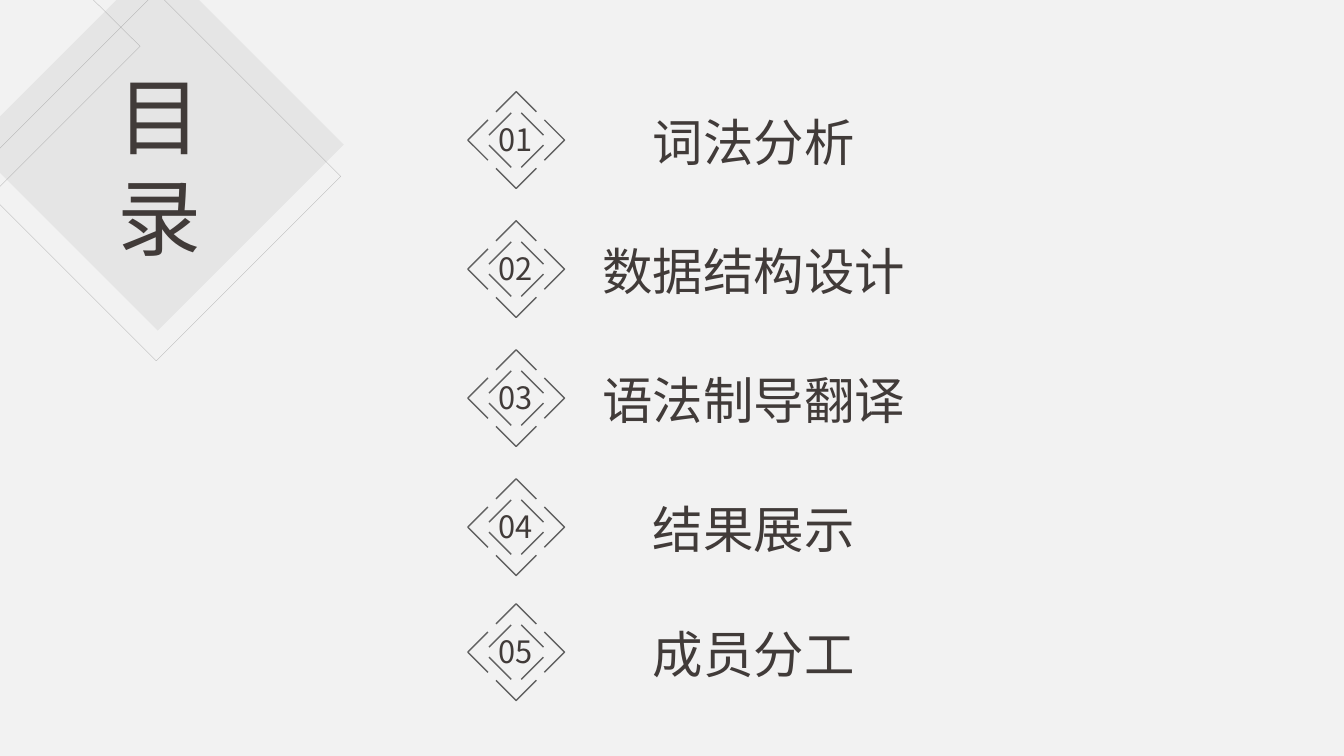
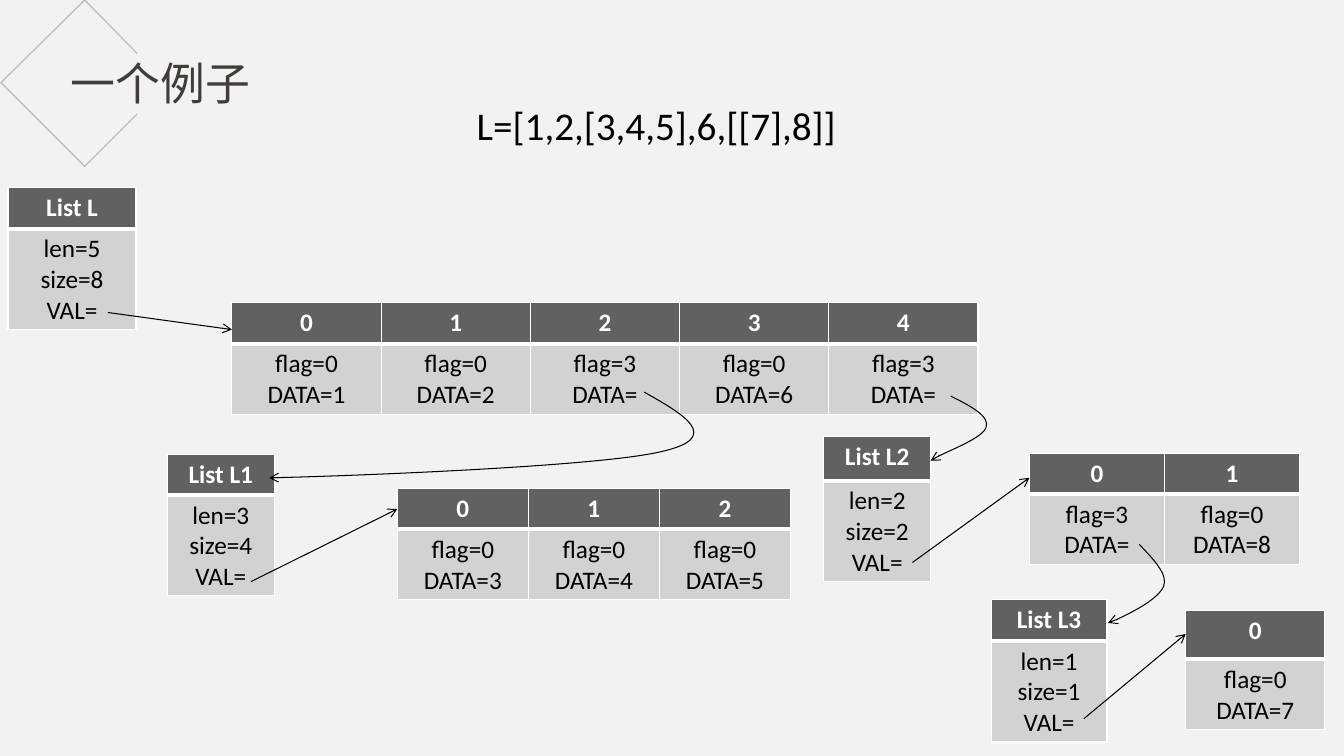
from dataclasses import dataclass
from typing import Any

import lxml.etree
import pptx
import pptx.dml.color
import pptx.enum.shapes
import pptx.enum.text
import pptx.oxml.ns
import pptx.util

Inches = pptx.util.Inches
qn = pptx.oxml.ns.qn
Point = tuple[float, float]

HAN = "Noto Sans CJK SC"
LATIN = "Calibri"
INK, DARK, PALE, GRAY = "413B39", "616161", "D2D2D2", "808080"
BLACK, WHITE, PAPER = "000000", "FFFFFF", "F2F2F2"


@dataclass
class Topic:
    text: str
    mid: float


@dataclass
class Grid:
    left: float
    top: float
    width: float
    head: float
    heads: list[str]
    cells: list[list[str]]


TOPICS = [
    Topic("词法分析", 1.39),
    Topic("数据结构设计", 2.67),
    Topic("语法制导翻译", 3.95),
    Topic("结果展示", 5.23),
    Topic("成员分工", 6.47),
]


def array(left: float, top: float, width: float, head: float, data: list[tuple[int, str]]) -> Grid:
    heads = [str(i) for i in range(len(data))]
    return Grid(left, top, width, head, heads, [[f"flag={flag}", f"DATA={value}"] for flag, value in data])


def record(left: float, top: float, width: float, head: float, name: str, count: int, size: int) -> Grid:
    return Grid(left, top, width, head, [f"List {name}"], [[f"len={count}", f"size={size}", "VAL="]])


GRIDS = [
    array(2.3, 3, 1.48, 0.41, [(0, "1"), (0, "2"), (3, ""), (0, "6"), (3, "")]),
    array(3.94, 4.85, 1.3, 0.4, [(0, "3"), (0, "4"), (0, "5")]),
    array(10.21, 4.5, 1.34, 0.4, [(3, ""), (0, "8")]),
    array(11.76, 6.06, 1.38, 0.48, [(0, "7")]),
    record(0.08, 1.86, 1.27, 0.41, "L", 5, 8),
    record(1.66, 4.51, 1.06, 0.4, "L1", 3, 4),
    record(8.17, 4.33, 1.06, 0.44, "L2", 2, 2),
    record(9.83, 5.95, 1.15, 0.41, "L3", 1, 1),
]
ARROWS = [
    ((1.07, 3.1), (2.3, 3.27)),
    ((2.49, 5.77), (3.94, 5.05)),
    ((9.05, 5.58), (10.21, 4.74)),
    ((10.75, 7.13), (11.76, 6.29)),
]
CURVES = [
    [(6.39, 3.89), (6.78, 4.11), (7.18, 4.34), (6.56, 4.48), (5.94, 4.63), (3.25, 4.73), (2.67, 4.74)],
    [(9.43, 3.93), (9.63, 4.03), (9.82, 4.13), (9.78, 4.24), (9.75, 4.34), (9.27, 4.53), (9.23, 4.57)],
    [(11.3, 5.4), (11.44, 5.55), (11.59, 5.7), (11.54, 5.82), (11.48, 5.95), (11.07, 6.16), (10.99, 6.18)],
]


def paint(fill: Any, color: str, alpha: int = 100) -> None:
    fill.solid()
    fill.fore_color.rgb = pptx.dml.color.RGBColor.from_string(color)
    if alpha < 100:
        tint = fill._xPr.find(qn("a:solidFill"))[0]
        lxml.etree.SubElement(tint, qn("a:alpha"), val=str(alpha * 1000))


def stroke(shape: Any, color: str, width: float, alpha: int = 100) -> None:
    paint(shape.line.fill, color, alpha)
    shape.line.width = pptx.util.Pt(width)


def tip(shape: Any) -> None:
    lxml.etree.SubElement(shape.line._get_or_add_ln(), qn("a:tailEnd"), type="arrow")


def write(frame: Any, *lines: str, size: float, color: str, font: str = HAN,
          bold: bool = False, center: bool = True) -> None:
    for i, line in enumerate(lines):
        para = frame.paragraphs[0] if i == 0 else frame.add_paragraph()
        align = pptx.enum.text.PP_ALIGN
        para.alignment = align.CENTER if center else align.LEFT
        run = para.add_run()
        run.text = line
        run.font.size = pptx.util.Pt(size)
        run.font.bold = bold
        run.font.name = font
        run.font.color.rgb = pptx.dml.color.RGBColor.from_string(color)
        lxml.etree.SubElement(run.font._element, qn("a:ea"), typeface=font)


def label(shapes: Any, text: str, left: float, top: float, width: float, height: float,
          wrap: bool = True, **style: Any) -> None:
    box = shapes.add_textbox(Inches(left), Inches(top), Inches(width), Inches(height))
    box.text_frame.word_wrap = wrap
    box.text_frame.auto_size = pptx.enum.text.MSO_AUTO_SIZE.SHAPE_TO_FIT_TEXT
    write(box.text_frame, text, **style)


def trace(shapes: Any, points: list[Point], color: str, width: float,
          alpha: int = 100, close: bool = False) -> Any:
    spots = [(Inches(x), Inches(y)) for x, y in points]
    pen = shapes.build_freeform(*spots[0])
    pen.add_line_segments(spots[1:], close=close)
    shape = pen.convert_to_shape()
    shape.shadow.inherit = False
    shape.fill.background()
    stroke(shape, color, width, alpha)
    return shape


def curve(shapes: Any, points: list[Point]) -> None:
    shape = trace(shapes, points, BLACK, 0.75)
    route = next(shape._element.iter(qn("a:path")))
    steps = route.findall(qn("a:lnTo"))
    for i in range(0, len(steps), 3):
        bend = lxml.etree.SubElement(route, qn("a:cubicBezTo"))
        for step in steps[i:i + 3]:
            bend.append(step[0])
            route.remove(step)
    tip(shape)


def arrow(shapes: Any, start: Point, end: Point) -> None:
    kind = pptx.enum.shapes.MSO_CONNECTOR.STRAIGHT
    line = shapes.add_connector(kind, *(Inches(n) for n in (*start, *end)))
    stroke(line, BLACK, 0.75)
    tip(line)
    lxml.etree.SubElement(line._element.spPr, qn("a:effectLst"))


def diamond(shapes: Any, left: float, top: float, side: float) -> Any:
    kind = pptx.enum.shapes.MSO_SHAPE.DIAMOND
    shape = shapes.add_shape(kind, Inches(left), Inches(top), Inches(side), Inches(side))
    shape.shadow.inherit = False
    return shape


def badge(shapes: Any, number: str, x: float, y: float) -> None:
    group = shapes.add_group_shape().shapes
    for marks in ([(-0.2, -0.28), (0, -0.48), (0.2, -0.28)], [(0.05, -0.27), (0.27, -0.05)]):
        for turn in range(4):
            trace(group, [(x + a, y + b) for a, b in marks], DARK, 1)
            marks = [(-b, a) for a, b in marks]
    label(group, number, x - 0.38, y - 0.24, 0.75, 0.47, size=22, color=INK)


def border(cell: Any, top: float, bottom: float) -> None:
    frame = cell._tc.get_or_add_tcPr()
    for i, (side, width) in enumerate(zip("LRTB", (1, 1, top, bottom))):
        edge = lxml.etree.Element(qn(f"a:ln{side}"), w=str(pptx.util.Pt(width)))
        fill = lxml.etree.SubElement(edge, qn("a:solidFill"))
        lxml.etree.SubElement(fill, qn("a:srgbClr"), val=WHITE)
        frame.insert(i, edge)


def table(shapes: Any, grid: Grid) -> None:
    count = len(grid.heads)
    body = 0.1 + 0.3 * len(grid.cells[0])
    frame = shapes.add_table(2, count, Inches(grid.left), Inches(grid.top),
                             Inches(grid.width * count), Inches(grid.head + body))
    form = frame.table
    form.horz_banding = False
    form.rows[0].height, form.rows[1].height = Inches(grid.head), Inches(body)
    for i, (head, lines) in enumerate(zip(grid.heads, grid.cells)):
        form.columns[i].width = Inches(grid.width)
        top, low = form.cell(0, i), form.cell(1, i)
        paint(top.fill, DARK)
        paint(low.fill, PALE)
        border(top, 1, 3)
        border(low, 3, 1)
        write(top.text_frame, head, size=18, color=WHITE, font=LATIN, bold=True)
        write(low.text_frame, *lines, size=18, color=BLACK, font=LATIN)


def agenda(shapes: Any) -> None:
    solid = diamond(shapes, -0.28, -0.41, 3.69)
    paint(solid.fill, "A6A6A6", 16)
    solid.line.fill.background()
    trace(shapes, [(-0.02, -0.94), (1.39, 0.46), (-0.02, 1.87)], GRAY, 0.25, 48, close=True)
    hollow = diamond(shapes, -0.28, -0.08, 3.66)
    hollow.fill.background()
    stroke(hollow, GRAY, 0.25, 48)
    label(shapes, "目录", 0.98, 0.59, 1.21, 2.12, size=60, color=INK)
    for i, topic in enumerate(TOPICS, 1):
        badge(shapes, f"{i:02}", 5.12, topic.mid)
        label(shapes, topic.text, 5.59, topic.mid - 0.34, 3.77, 0.71, size=36, color=INK)


def sample(shapes: Any) -> None:
    label(shapes, "一个例子", 0.08, 0.5, 3.02, 0.64, size=32, color=INK)
    trace(shapes, [(1.36, 0.53), (0.84, 0), (0.01, 0.82), (0.84, 1.65), (1.36, 1.13)], GRAY, 1, 45)
    label(shapes, "L=[1,2,[3,4,5],6,[[7],8]]", 4.63, 0.96, 3.82, 0.57, wrap=False,
          size=28, color=BLACK, font=LATIN, center=False)
    for grid in GRIDS:
        table(shapes, grid)
    for start, end in ARROWS:
        arrow(shapes, start, end)
    for points in CURVES:
        curve(shapes, points)


def main() -> None:
    deck = pptx.Presentation()
    deck.slide_width, deck.slide_height = Inches(13.33), Inches(7.5)
    paint(deck.slide_master.background.fill, PAPER)
    for draw in (agenda, sample):
        draw(deck.slides.add_slide(deck.slide_layouts[6]).shapes)
    deck.save("out.pptx")


if __name__ == "__main__":
    main()
